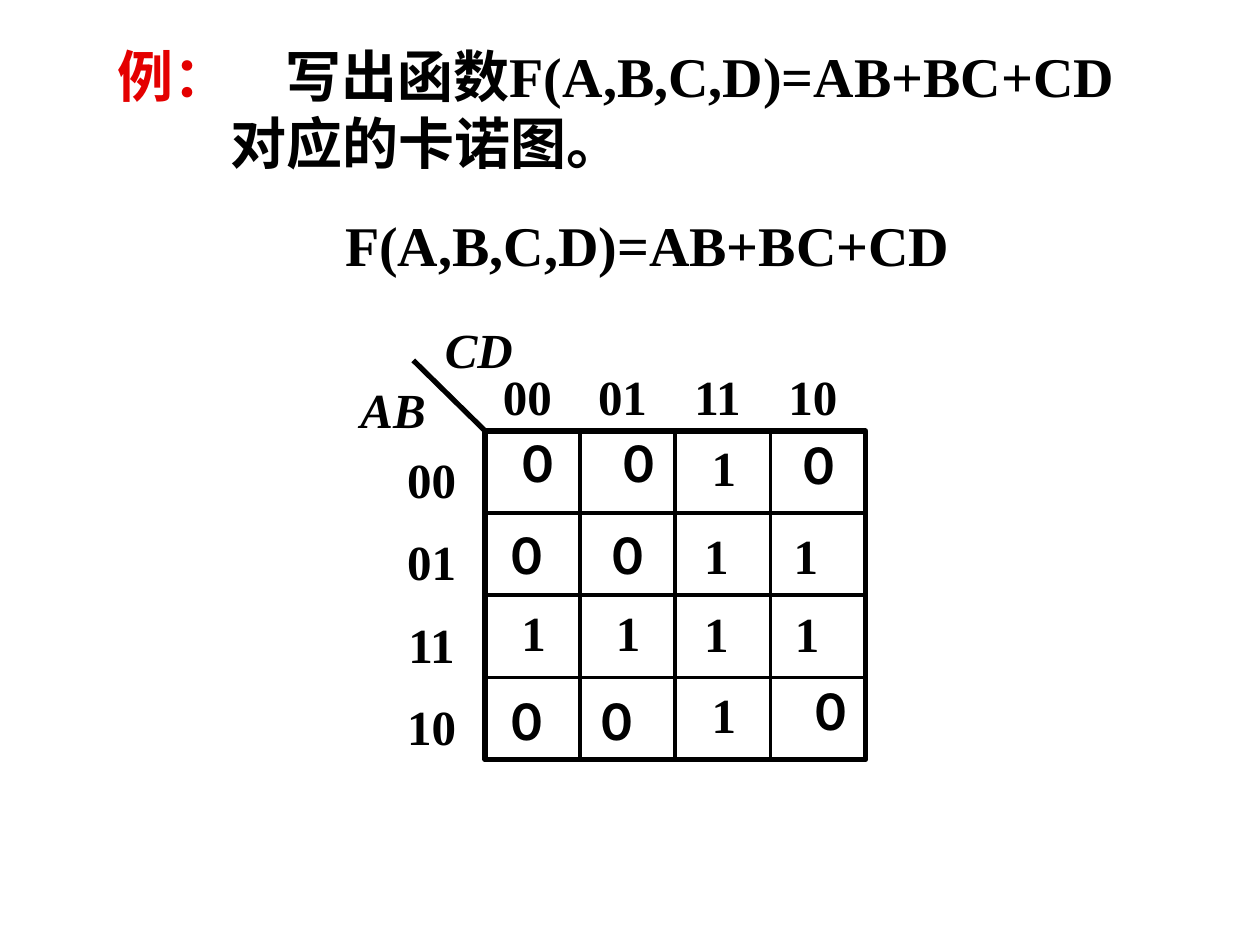
from dataclasses import dataclass

from lxml import etree
from pptx import Presentation
from pptx.dml.color import RGBColor
from pptx.enum import shapes, text
from pptx.oxml.ns import qn
from pptx.util import Inches, Pt


@dataclass(frozen=True)
class Theme:
    ink: RGBColor = RGBColor(0, 0, 0)
    accent: RGBColor = RGBColor(0xE4, 0, 0)
    paper: RGBColor = RGBColor(255, 255, 255)
    chinese: str = "Arial"
    latin: str = "Times New Roman"
    heading: int = 32
    label: int = 28
    frame: float = 3
    rule: float = 2.25


THEME = Theme()
FORMULA = "F(A,B,C,D)=AB+BC+CD"
GRAY_CODE = ("00", "01", "11", "10")

MAP_LEFT, MAP_TOP, MAP_WIDTH, MAP_HEIGHT = 3.85, 3.42, 3.02, 2.61
CELL_WIDTH, CELL_HEIGHT = MAP_WIDTH / 4, MAP_HEIGHT / 4
LABEL_HEIGHT = 0.57
DIGIT_WIDTHS = {"０": 0.59, "1": 0.39}

# Each row of the map: (value, left, top) per cell
MAP_ROWS = (
    (("０", 3.98, 3.39), ("０", 4.78, 3.39), ("1", 5.55, 3.42), ("０", 6.21, 3.41)),
    (("０", 3.89, 4.12), ("０", 4.69, 4.12), ("1", 5.49, 4.12), ("1", 6.2, 4.12)),
    (("1", 4.04, 4.73), ("1", 4.79, 4.73), ("1", 5.49, 4.74), ("1", 6.21, 4.74)),
    (("０", 3.89, 5.44), ("０", 4.6, 5.44), ("1", 5.55, 5.38), ("０", 6.3, 5.36)),
)


def style_font(font, size, name, color=THEME.ink, italic=False):
    font.size = Pt(size)
    font.name = name
    font.bold = True
    font.italic = italic
    font.color.rgb = color


def add_label(parent, words, left, top, width, height=LABEL_HEIGHT,
              size=THEME.label, centered=False, italic=False, wrap=False):
    label = parent.shapes.add_textbox(
        Inches(left), Inches(top), Inches(width), Inches(height))
    frame = label.text_frame
    frame.text = words
    frame.word_wrap = wrap
    frame.auto_size = text.MSO_AUTO_SIZE.SHAPE_TO_FIT_TEXT
    paragraph = frame.paragraphs[0]
    paragraph.alignment = text.PP_ALIGN.CENTER if centered else text.PP_ALIGN.LEFT
    style_font(paragraph.runs[0].font, size, THEME.latin, italic=italic)
    return label


def add_rule(parent, x1, y1, x2, y2, weight=THEME.rule):
    rule = parent.shapes.add_connector(
        shapes.MSO_CONNECTOR.STRAIGHT,
        Inches(x1), Inches(y1), Inches(x2), Inches(y2))
    rule.line.color.rgb = THEME.ink
    rule.line.width = Pt(weight)
    etree.SubElement(rule._element.spPr, qn("a:effectLst"))
    return rule


def fill_title(slide):
    title = slide.shapes.title
    title.left, title.top = Inches(0.83), Inches(0.28)
    title.width, title.height = Inches(8.14), Inches(1.17)
    frame = title.text_frame
    frame.word_wrap = False
    frame.auto_size = text.MSO_AUTO_SIZE.SHAPE_TO_FIT_TEXT
    frame.vertical_anchor = text.MSO_ANCHOR.MIDDLE
    task, ending = frame.paragraphs[0], frame.add_paragraph()
    ending._p.get_or_add_pPr().set("marL", str(Inches(0.9)))
    for paragraph, words, name, color in (
        (task, "例：", THEME.chinese, THEME.accent),
        (task, "\u3000写出函数", THEME.chinese, THEME.ink),
        (task, FORMULA, THEME.latin, THEME.ink),
        (ending, "对应的卡诺图。", THEME.chinese, THEME.ink),
    ):
        paragraph.alignment = text.PP_ALIGN.LEFT
        run = paragraph.add_run()
        run.text = words
        style_font(run.font, THEME.heading, name, color)


def add_formula(slide):
    formula = add_label(slide, FORMULA, 2.64, 1.62, 5.75, 0.64,
                        size=THEME.heading, wrap=True)
    formula.fill.solid()
    formula.fill.fore_color.rgb = THEME.paper
    formula.text_frame.vertical_anchor = text.MSO_ANCHOR.MIDDLE


def add_grid(group):
    border = group.shapes.add_shape(
        shapes.MSO_SHAPE.RECTANGLE, Inches(MAP_LEFT), Inches(MAP_TOP),
        Inches(MAP_WIDTH), Inches(MAP_HEIGHT))
    border.shadow.inherit = False
    border.fill.background()
    border.line.color.rgb = THEME.ink
    border.line.width = Pt(THEME.frame)
    right, bottom = MAP_LEFT + MAP_WIDTH, MAP_TOP + MAP_HEIGHT
    for i in range(1, 4):
        x, y = MAP_LEFT + i * CELL_WIDTH, MAP_TOP + i * CELL_HEIGHT
        column_rule = add_rule(group, x, MAP_TOP, x, bottom)
        row_rule = add_rule(group, MAP_LEFT, y, right, y)
        if i == 2:
            column_rule.begin_connect(border, 0)
            column_rule.end_connect(border, 2)
            row_rule.begin_connect(border, 1)
            row_rule.end_connect(border, 3)
    add_rule(group, 3.28, 2.86, MAP_LEFT, MAP_TOP, THEME.frame)


def add_karnaugh_map(slide):
    group = slide.shapes.add_group_shape()
    add_grid(group)
    add_label(group, "AB", 2.76, 2.96, 0.72, centered=True, italic=True)
    add_label(group, "CD", 3.43, 2.49, 0.74, centered=True, italic=True)
    for i, code in enumerate(GRAY_CODE):
        add_label(group, code, 3.13, 3.52 + i * CELL_HEIGHT, 0.59, centered=True)
        add_label(group, code, 3.89 + i * CELL_WIDTH, 2.86, 0.59, centered=True)
    for row in MAP_ROWS:
        for digit, left, top in row:
            add_label(group, digit, left, top, DIGIT_WIDTHS[digit])


def main():
    deck = Presentation()
    deck.slide_width, deck.slide_height = Inches(10), Inches(7.5)
    slide = deck.slides.add_slide(deck.slide_layouts.get_by_name("Title Only"))
    fill_title(slide)
    add_formula(slide)
    add_karnaugh_map(slide)
    deck.save("out.pptx")


if __name__ == "__main__":
    main()
